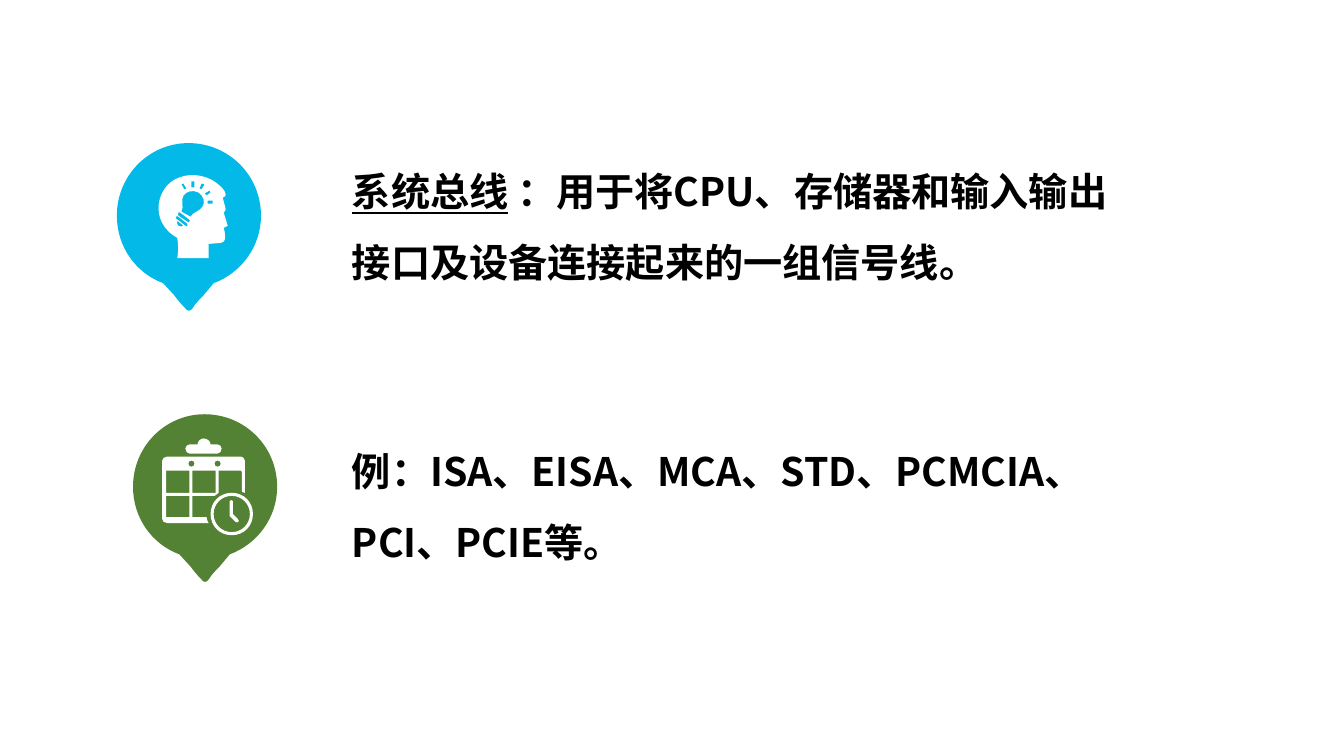
"""Build a slide defining the system bus, with examples, beside two pin icons."""
import lxml.etree
import pptx
import pptx.dml.color
import pptx.oxml.ns
import pptx.util

Cm = pptx.util.Cm
qn = pptx.oxml.ns.qn
WHITE = pptx.dml.color.RGBColor(0xFF, 0xFF, 0xFF)
BLACK = pptx.dml.color.RGBColor(0, 0, 0)
BLUE = pptx.dml.color.RGBColor(0x02, 0xB9, 0xE7)
GREEN = pptx.dml.color.RGBColor(0x54, 0x82, 0x35)
FONT = "Noto Sans CJK SC"
GRID = Cm(0.0254)

deck = pptx.Presentation()
deck.slide_width, deck.slide_height = Cm(33.87), Cm(19.05)
slide = deck.slides.add_slide(deck.slide_layouts[6])


def add_outline(icon, contours, color):
    """Draw closed contours on the grid; a step is a point or the six numbers of a curve."""
    builder = icon.shapes.build_freeform(*contours[0][0], scale=GRID)
    for contour in contours:
        if contour is not contours[0]:
            builder.move_to(*contour[0])
        builder.add_line_segments([step[i:i + 2] for step in contour[1:]
                                   for i in range(0, len(step), 2)])
    outline = builder.convert_to_shape()
    outline.shadow.inherit = False
    outline.fill.solid()
    outline.fill.fore_color.rgb = color
    outline.line.fill.background()
    nodes = iter(list(outline._element.iter(qn("a:moveTo"), qn("a:lnTo"))))
    for contour in contours:
        for step in contour:
            curve = next(nodes)
            if len(step) == 6:
                curve.tag = qn("a:cubicBezTo")
                for extra in (next(nodes), next(nodes)):
                    curve.append(extra[0])
                    extra.getparent().remove(extra)


def add_statement(top, width, height, pieces):
    """Add a bold statement whose pieces are pairs of text and underline."""
    box = slide.shapes.add_textbox(Cm(8.62), Cm(top), Cm(width), Cm(height))
    box.text_frame.word_wrap = True
    paragraph = box.text_frame.paragraphs[0]
    paragraph.line_spacing = 1.5
    for words, underline in pieces:
        run = paragraph.add_run()
        run.text = words
        run.font.size = pptx.util.Pt(28)
        run.font.bold = True
        run.font.underline = underline
        run.font.color.rgb = BLACK
        run.font.name = FONT
        east_asian = lxml.etree.SubElement(run.font._element, qn("a:ea"))
        east_asian.set("typeface", FONT)


pin = [(71, 0), (111, 0, 143, 32, 143, 72), (143, 103, 123, 129, 96, 139), (86, 151),
       (82, 155, 78, 159, 75, 164), (73, 167, 70, 167, 68, 164),
       (64, 160, 60, 155, 57, 151), (46, 139), (19, 129, 0, 103, 0, 72),
       (0, 32, 32, 0, 71, 0)]

clip = [(184, 445), (184, 448, 186, 450, 188, 450), (216, 450),
        (218, 450, 220, 448, 220, 445), (220, 443, 218, 441, 216, 441), (209, 441),
        (209, 438, 206, 435, 202, 435), (199, 435, 196, 438, 196, 441), (188, 441),
        (186, 441, 184, 443, 184, 445)]
page = [(205, 513), (191, 513), (191, 492), (213, 492), (214, 491, 216, 490, 217, 489),
        (217, 467), (239, 467), (239, 467, 240, 468, 240, 468), (240, 488),
        (241, 488, 242, 489, 243, 489), (243, 457), (243, 455, 241, 453, 239, 453),
        (166, 453), (163, 453, 161, 455, 161, 457), (161, 515),
        (161, 517, 163, 519, 166, 519), (207, 519), (206, 517, 205, 515, 205, 513)]
clock_hands = [(234, 518), (235, 519, 237, 518, 237, 517), (236, 515), (231, 510),
               (231, 497), (231, 496, 228, 496, 228, 497), (228, 512)]
calendar = [clip, page, clock_hands]
for left, top, right, bottom in [(165, 467, 188, 489), (191, 467, 214, 489),
                                 (165, 492, 188, 513)]:
    calendar.append([(left, top), (right, top), (right, bottom), (left, bottom)])
for x, y, r in [(190, 460, 3), (216, 460, 3), (230, 510, 21), (230, 510, 18)]:
    k = 0.55 * r
    calendar.append([(x, y - r), (x + k, y - r, x + r, y - k, x + r, y),
                     (x + r, y + k, x + k, y + r, x, y + r),
                     (x - k, y + r, x - r, y + k, x - r, y),
                     (x - r, y - k, x - k, y - r, x, y - r)])

face = [(176, 256), (177, 250, 177, 243, 176, 236), (147, 220, 155, 184, 178, 176),
        (191, 171, 208, 174, 219, 185), (227, 193, 223, 195, 223, 195), (221, 196),
        (222, 200, 224, 207, 224, 208), (223, 210, 222, 211, 222, 211), (226, 224),
        (222, 226), (223, 230, 224, 234, 223, 238), (223, 239, 221, 241, 219, 241),
        (207, 242), (207, 256)]
bulb = [(197, 191), (191, 188, 185, 190, 182, 194), (179, 199, 183, 205, 180, 210),
        (189, 215), (192, 210, 198, 210, 201, 205), (204, 201, 202, 194, 197, 191)]
bulb_threads = [
    [(188, 218), (179, 211), (178, 210, 177, 211, 177, 211), (176, 212, 177, 213, 177, 214),
     (186, 220), (187, 221, 188, 221, 188, 220), (189, 219, 188, 218, 188, 218)],
    [(186, 222), (177, 215), (176, 214, 175, 214, 175, 215), (174, 216, 174, 217, 175, 217),
     (184, 224), (185, 225, 186, 225, 186, 224), (186, 223, 186, 222, 186, 222)],
    [(176, 219), (175, 221, 176, 223, 177, 224), (179, 225, 181, 225, 182, 224)],
]
bulb_rays = [
    [(200, 188), (203, 183), (200, 182), (198, 187)],
    [(205, 194), (209, 191), (208, 189), (203, 192)],
    [(193, 186), (193, 180), (190, 180), (190, 186)],
    [(185, 187), (182, 182), (180, 183), (183, 188)],
    [(206, 202), (211, 202), (211, 199), (206, 199)],
]
thinking_head = [face, bulb] + bulb_threads + bulb_rays

add_statement(10.56, 19.33, 13.92, [("例：ISA、EISA、MCA、STD、PCMCIA、PCI、PCIE等。", False)])
for pin_left, pin_top, color, symbol in [(132, 411, GREEN, calendar),
                                         (116, 142, BLUE, thinking_head)]:
    icon = slide.shapes.add_group_shape()
    placed_pin = [tuple(value + (pin_top if i % 2 else pin_left)
                        for i, value in enumerate(step)) for step in pin]
    add_outline(icon, [placed_pin], color)
    add_outline(icon, symbol, WHITE)
add_statement(3.51, 20.45, 3.84, [
    ("系统总线", True), (" ：用于将CPU、存储器和输入输出接口及设备连接起来的一组信号线。", False)])

deck.save("out.pptx")
